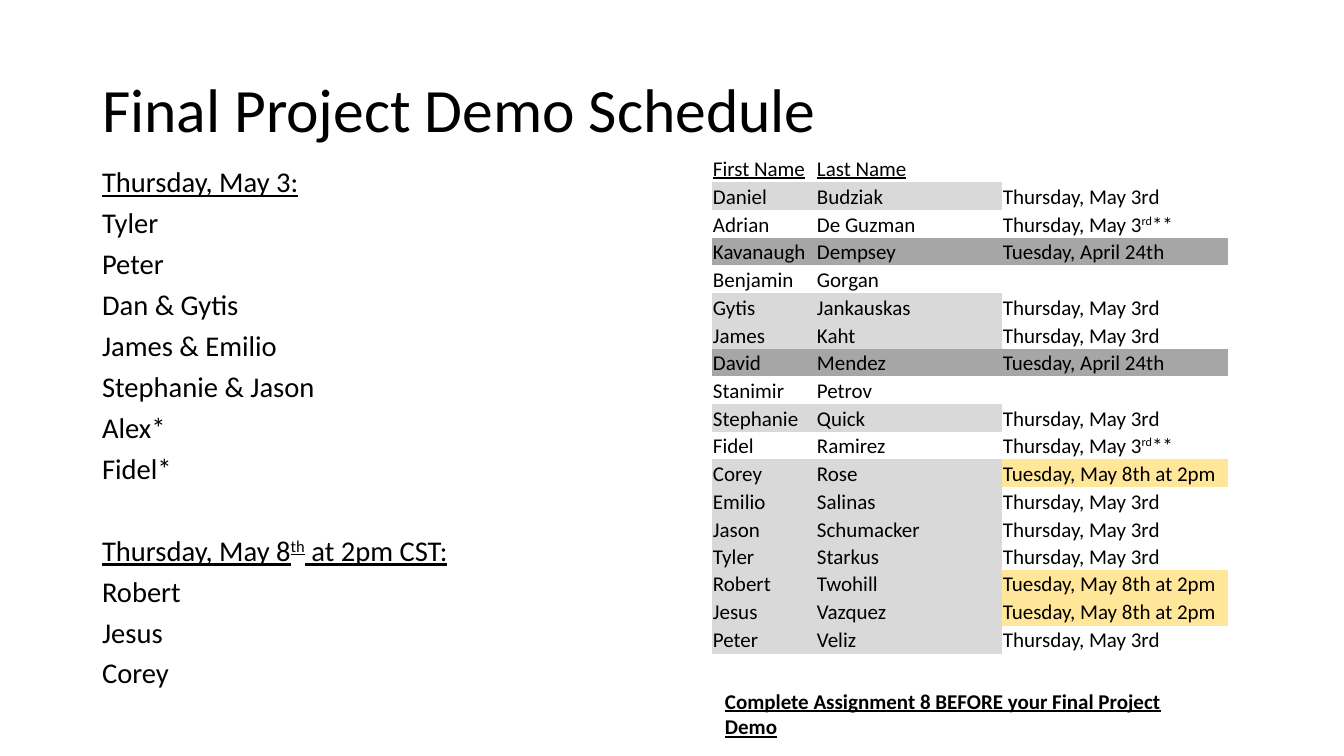
from dataclasses import dataclass

from pptx import Presentation
from pptx.dml.color import RGBColor
from pptx.enum.text import MSO_ANCHOR as Anchor, MSO_AUTO_SIZE as Fit, PP_ALIGN as Align
from pptx.oxml.ns import qn
from pptx.util import Emu, Pt

BLACK = RGBColor(0x00, 0x00, 0x00)
LIGHT = RGBColor(0xD9, 0xD9, 0xD9)
DARK = RGBColor(0xA6, 0xA6, 0xA6)
GOLD = RGBColor(0xFF, 0xE6, 0x99)
FONT = "Calibri"
PLAIN = "{2D5ABB26-0587-4C30-8999-92F81FD0307C}"
SCALE = 12192000 / 1344


@dataclass
class Style:
    size: float
    under: bool = False
    bold: bool = False


@dataclass
class Group:
    head: str
    names: list[str]
    gap: float


@dataclass
class Entry:
    first: str
    last: str
    slot: str = ""
    name_fill: RGBColor | None = None
    slot_fill: RGBColor | None = None


def px(count: float) -> Emu:
    """Turn pixels into EMU."""
    return Emu(round(count * SCALE))


def place(shape, left: int, top: int, width: int, height: int) -> None:
    """Move and size a shape, given in pixels."""
    shape.left, shape.top = px(left), px(top)
    shape.width, shape.height = px(width), px(height)


def write(para, text: str, style: Style) -> None:
    """Add text run by run; parts between carets are raised."""
    for index, part in enumerate(text.split("^")):
        if not part:
            continue
        run = para.add_run()
        run.text = part
        font = run.font
        font.name, font.size = FONT, Pt(style.size)
        font.bold, font.underline = style.bold, style.under
        font.color.rgb = BLACK
        if index % 2:
            run._r.get_or_add_rPr().set("baseline", "30000")
    if not text:
        para._p.get_or_add_endParaRPr().set("sz", str(int(style.size * 100)))


def fill_cell(cell, text: str, style: Style, fill: RGBColor | None = None,
              side: int = 1, edge: int = 1) -> None:
    """Set the text, margins and fill of a table cell."""
    cell.margin_left = cell.margin_right = px(side)
    cell.margin_top, cell.margin_bottom = px(edge), px(edge - 1)
    cell.vertical_anchor = Anchor.BOTTOM
    if fill is None:
        cell.fill.background()
    else:
        cell.fill.solid()
        cell.fill.fore_color.rgb = fill
    write(cell.text_frame.paragraphs[0], text, style)


def add_title(shape, text: str) -> None:
    """Format the title placeholder."""
    place(shape, 92, 40, 1160, 146)
    frame = shape.text_frame
    frame.vertical_anchor = Anchor.MIDDLE
    frame.auto_size = Fit.NONE
    para = frame.paragraphs[0]
    para.alignment, para.line_spacing = Align.LEFT, 0.9
    write(para, text, Style(44))


def add_list(shape, groups: list[Group]) -> None:
    """Fill the body placeholder with headed lists of names."""
    place(shape, 92, 166, 401, 549)
    frame = shape.text_frame
    frame.auto_size = Fit.NONE
    lines = [(text, index == 0, group.gap if index == 0 else 9.6)
             for group in groups
             for index, text in enumerate([group.head, *group.names])]
    for index, (text, under, gap) in enumerate(lines):
        para = frame.add_paragraph() if index else frame.paragraphs[0]
        para.line_spacing, para.space_before = 0.8, Pt(gap)
        props = para._p.get_or_add_pPr()
        props.set("marL", "0")
        props.set("indent", "0")
        props.append(props.makeelement(qn("a:buNone"), {}))
        write(para, text, Style(20.4, under))


def add_grid(slide, entries: list[Entry], note: str) -> None:
    """Draw the table of names and demo slots with its closing note."""
    count = len(entries) + 1
    tall = [499 * (i + 1) // count - 499 * i // count for i in range(count)] + [28, 65]
    wide = [104, 186, 226]
    frame = slide.shapes.add_table(len(tall), len(wide), px(712), px(155),
                                   px(sum(wide)), px(sum(tall)))
    table = frame.table
    table.first_row = table.horz_banding = False
    table._tbl.tblPr.find(qn("a:tableStyleId")).text = PLAIN
    for column, width in zip(table.columns, wide):
        column.width = px(width)
    for row, height in zip(table.rows, tall):
        row.height = px(height)
    rows = [Entry("First Name", "Last Name"), *entries, Entry("", "")]
    for index, entry in enumerate(rows):
        style = Style(15, under=index == 0)
        fill_cell(table.cell(index, 0), entry.first, style, entry.name_fill)
        fill_cell(table.cell(index, 1), entry.last, style, entry.name_fill)
        fill_cell(table.cell(index, 2), entry.slot, style, entry.slot_fill)
    end = len(tall) - 1
    table.cell(end, 0).merge(table.cell(end, 2))
    fill_cell(table.cell(end, 0), note, Style(15, True, True), side=13, edge=7)


def april(first: str, last: str) -> Entry:
    """Make an entry for the April slot."""
    return Entry(first, last, "Tuesday, April 24th", DARK, DARK)


def third(first: str, last: str) -> Entry:
    """Make an entry for the May 3 slot."""
    return Entry(first, last, "Thursday, May 3rd", LIGHT)


def starred(first: str, last: str) -> Entry:
    """Make an entry for the marked May 3 slot."""
    return Entry(first, last, "Thursday, May 3^rd^**")


def eighth(first: str, last: str) -> Entry:
    """Make an entry for the May 8 slot."""
    return Entry(first, last, "Tuesday, May 8th at 2pm", LIGHT, GOLD)


GROUPS = [
    Group("Thursday, May 3:",
          ["Tyler", "Peter", "Dan & Gytis", "James & Emilio",
           "Stephanie & Jason", "Alex*", "Fidel*"], 9.6),
    Group("Thursday, May 8^th^ at 2pm CST:", ["Robert", "Jesus", "Corey"], 39.1),
]
ENTRIES = [
    third("Daniel", "Budziak"),
    starred("Adrian", "De Guzman"),
    april("Kavanaugh", "Dempsey"),
    Entry("Benjamin", "Gorgan"),
    third("Gytis", "Jankauskas"),
    third("James", "Kaht"),
    april("David", "Mendez"),
    Entry("Stanimir", "Petrov"),
    third("Stephanie", "Quick"),
    starred("Fidel", "Ramirez"),
    eighth("Corey", "Rose"),
    third("Emilio", "Salinas"),
    third("Jason", "Schumacker"),
    third("Tyler", "Starkus"),
    eighth("Robert", "Twohill"),
    eighth("Jesus", "Vazquez"),
    third("Peter", "Veliz"),
]


def main() -> None:
    """Build and save the schedule slide."""
    deck = Presentation()
    deck.slide_width, deck.slide_height = px(1344), px(756)
    slide = deck.slides.add_slide(deck.slide_layouts[1])
    add_title(slide.shapes.title, "Final Project Demo Schedule")
    add_list(slide.placeholders[1], GROUPS)
    add_grid(slide, ENTRIES, "Complete Assignment 8 BEFORE your Final Project Demo")
    deck.save("out.pptx")


main()
